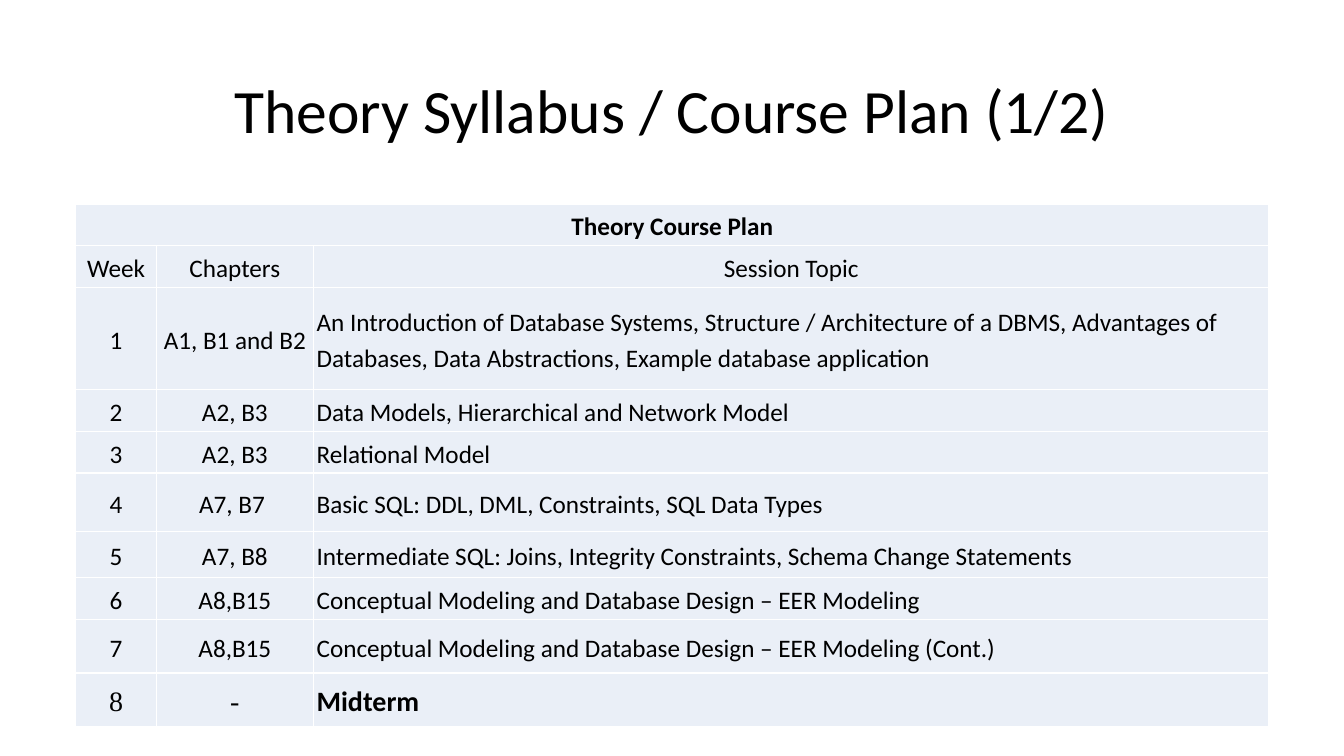
"""Build the course plan slide: a title above a table of weekly topics."""
from pptx import Presentation
from pptx.dml.color import RGBColor
from pptx.enum.text import MSO_ANCHOR, PP_ALIGN
from pptx.util import Cm, Pt

TITLE = "Theory Syllabus / Course Plan (1/2)"
ROWS = [
    ("Theory Course Plan", "", ""),
    ("Week", "Chapters", "Session Topic"),
    ("1", "A1, B1 and B2",
     "An Introduction of Database Systems, Structure / Architecture of a DBMS, "
     "Advantages of Databases, Data Abstractions, Example database application"),
    ("2", "A2, B3", "Data Models, Hierarchical and Network Model"),
    ("3", "A2, B3", "Relational Model"),
    ("4", "A7, B7 ", "Basic SQL: DDL, DML, Constraints, SQL Data Types"),
    ("5", "A7, B8",
     "Intermediate SQL: Joins, Integrity Constraints, Schema Change Statements"),
    ("6", "A8,B15", "Conceptual Modeling and Database Design – EER Modeling"),
    ("7", "A8,B15",
     "Conceptual Modeling and Database Design – EER Modeling (Cont.)"),
    ("8", "-", "Midterm"),
]
WIDTHS = [2.03, 3.96, 24.08]
HEIGHTS = [0.84, 0.84, 2.57, 1.04, 1.02, 1.47, 1.17, 1.02, 1.35, 1.35]
HEADS = 2
LAST = len(ROWS) - 1
TOPIC = len(WIDTHS) - 1
INSET = Cm(0.08)
INK, PALE = "000000", "EAEFF7"


def color(code):
    return RGBColor.from_string(code)


def style(para, size, face="Calibri", bold=False, align=PP_ALIGN.CENTER, space=1.15):
    font = para.font
    font.name, font.size, font.bold = face, Pt(size), bold
    font.color.rgb = color(INK)
    para.alignment, para.line_spacing = align, space


def fill_cell(cell, text, row, col):
    cell.fill.solid()
    cell.fill.fore_color.rgb = color(PALE)
    cell.vertical_anchor = MSO_ANCHOR.MIDDLE
    cell.margin_left = cell.margin_right = INSET
    cell.margin_top = cell.margin_bottom = INSET
    cell.text = text
    topic = col == TOPIC
    style(
        cell.text_frame.paragraphs[0],
        size=20 if row == LAST else 18,
        face="Times New Roman" if row == LAST and not topic else "Calibri",
        bold=row == 0 or (row == LAST and topic),
        align=PP_ALIGN.LEFT if topic and row >= HEADS else PP_ALIGN.CENTER,
    )


def add_title(slide):
    title = slide.shapes.title
    title.left, title.top = Cm(2.34), Cm(1.02)
    title.width, title.height = Cm(29.2), Cm(3.68)
    frame = title.text_frame
    frame.text = TITLE
    frame.vertical_anchor = MSO_ANCHOR.MIDDLE
    style(frame.paragraphs[0], 44, space=0.9)


def add_plan(slide):
    table = slide.shapes.add_table(
        len(ROWS), len(WIDTHS), Cm(1.91), Cm(5.14),
        Cm(sum(WIDTHS)), Cm(sum(HEIGHTS))).table
    table.first_row = table.horz_banding = False
    for col, width in zip(table.columns, WIDTHS):
        col.width = Cm(width)
    for row, height in zip(table.rows, HEIGHTS):
        row.height = Cm(height)
    for r, texts in enumerate(ROWS):
        for c, text in enumerate(texts):
            fill_cell(table.cell(r, c), text, r, c)
    table.cell(0, 0).merge(table.cell(0, TOPIC))


def main():
    deck = Presentation()
    deck.slide_width, deck.slide_height = Cm(33.87), Cm(19.05)
    slide = deck.slides.add_slide(deck.slide_layouts[5])
    add_title(slide)
    add_plan(slide)
    deck.save("out.pptx")


if __name__ == "__main__":
    main()
